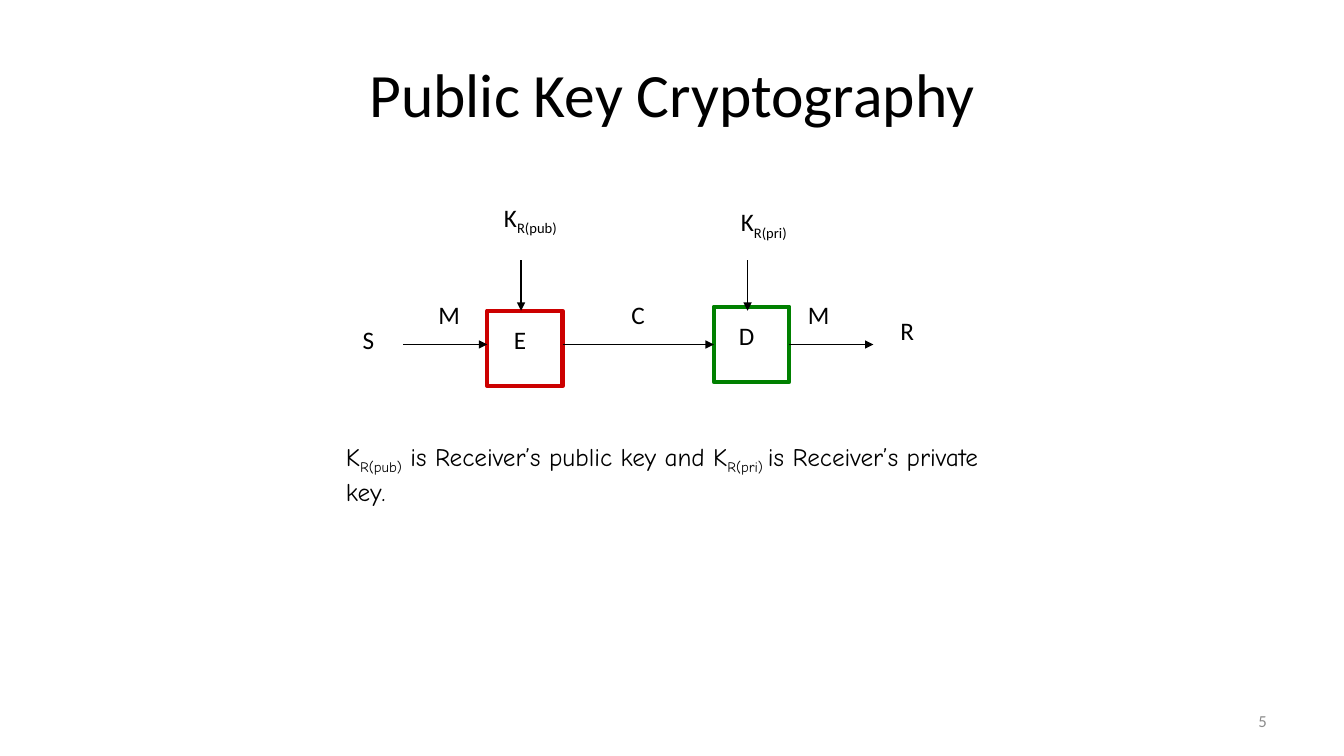
from pptx import Presentation
from pptx.dml.color import RGBColor
from pptx.enum.shapes import MSO_CONNECTOR as Connector, MSO_SHAPE as Shape
from pptx.enum.text import MSO_ANCHOR as Anchor, PP_ALIGN as Align
from pptx.oxml.ns import qn
from pptx.util import Cm, Pt
from lxml.etree import SubElement

COLORS = {"ink": "000000", "encrypt": "CC0000", "decrypt": "008000", "number": "8C8C8C"}


def color(name):
    return RGBColor.from_string(COLORS[name])


class Sketch:
    font = "Calibri"
    size = 18

    def __init__(self, page):
        self.page = page

    def fill_text(self, box, parts, ink="ink", align=Align.LEFT, anchor=Anchor.TOP, **style):
        frame = box.text_frame
        for name, value in {"word_wrap": True, "vertical_anchor": anchor}.items():
            setattr(frame, name, value)
        para = frame.paragraphs[0]
        para.alignment = align
        look = {"name": style.get("font", self.font), "size": Pt(style.get("size", self.size))}
        for index, text in enumerate(parts):
            span = para.add_run()
            span.text = text
            for name, value in look.items():
                setattr(span.font, name, value)
            span.font.color.rgb = color(ink)
            if index % 2:
                span._r.get_or_add_rPr().set("baseline", "-25000")

    def title(self, text, left, top, width, height):
        box = self.page.shapes.title
        place = {"left": left, "top": top, "width": width, "height": height}
        for name, value in place.items():
            setattr(box, name, Cm(value))
        self.fill_text(box, [text], align=Align.CENTER, anchor=Anchor.MIDDLE, size=44)

    def text(self, parts, left, top, width, height=1.02, **style):
        box = self.page.shapes.add_textbox(Cm(left), Cm(top), Cm(width), Cm(height))
        self.fill_text(box, parts, **style)

    def square(self, left, top, side, ink):
        box = self.page.shapes.add_shape(Shape.RECTANGLE, Cm(left), Cm(top), Cm(side), Cm(side))
        box.shadow.inherit = False
        box.fill.background()
        box.line.color.rgb = color(ink)
        box.line.width = Pt(3)

    def arrow(self, *ends):
        link = self.page.shapes.add_connector(Connector.STRAIGHT, *map(Cm, ends))
        link.line.color.rgb = color("ink")
        link.line.width = Pt(0.75)
        SubElement(link.line._get_or_add_ln(), qn("a:tailEnd"), type="triangle")
        SubElement(link._element.spPr, qn("a:effectLst"))


deck = Presentation()
deck.slide_width, deck.slide_height = Cm(33.87), Cm(19.05)
sketch = Sketch(deck.slides.add_slide(deck.slide_layouts[5]))

sketch.title("Public Key Cryptography", 1.7, 0.76, 30.48, 3.18)

SIDE = 1.9
FLOW_Y = 8.68
ENCRYPT_X, DECRYPT_X = 12.28, 17.99
PUBLIC_KEY, PRIVATE_KEY = ["K", "R(pub)"], ["K", "R(pri)"]

for left, top, ink in ((ENCRYPT_X, 7.83, "encrypt"), (DECRYPT_X, 7.73, "decrypt")):
    sketch.square(left, top, SIDE, ink)
    sketch.arrow(left + 0.85, 6.56, left + 0.85, 7.83)

for start, end in ((10.16, ENCRYPT_X), (ENCRYPT_X + SIDE, DECRYPT_X), (DECRYPT_X + SIDE, 22.01)):
    sketch.arrow(start, FLOW_Y, end, FLOW_Y)

for letter, left, top in (("S", 8.89, 8.04), ("E", 12.7, 8.04), ("D", 18.37, 7.94), ("R", 22.44, 7.83),
                          ("M", 10.8, 7.41), ("C", 15.66, 7.41), ("M", 20.11, 7.41)):
    sketch.text([letter], left, top, 1.06)

sketch.text(PUBLIC_KEY, 12.45, 4.97, 3)
sketch.text(PRIVATE_KEY, 18.42, 5.08, 2.54)
sketch.text(["K", "R(pub)", " is Receiver’s public key and K", "R(pri) ", "is Receiver’s private key."],
            8.47, 11, 16.51, 1.8, font="Comic Neue")
sketch.text(["5"], 24.28, 17.66, 7.9, ink="number", align=Align.RIGHT, anchor=Anchor.MIDDLE, size=12)

deck.save("out.pptx")
